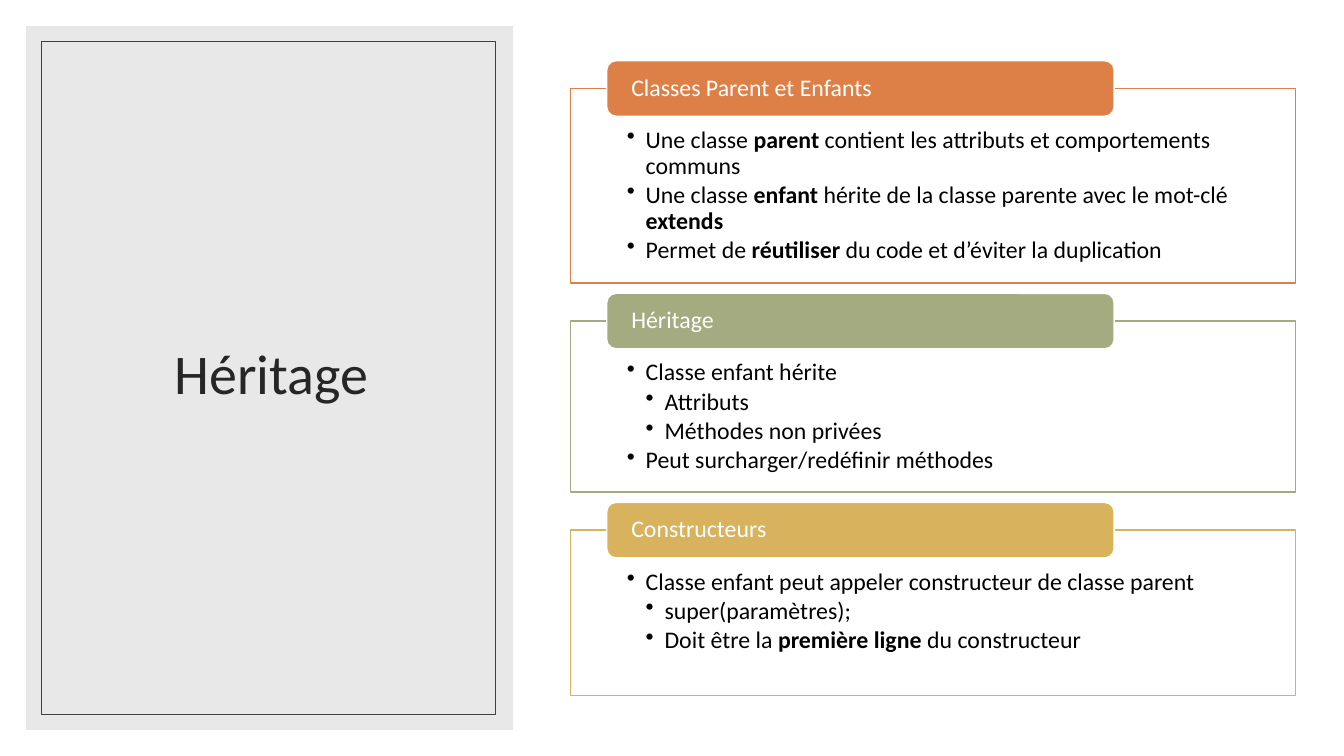
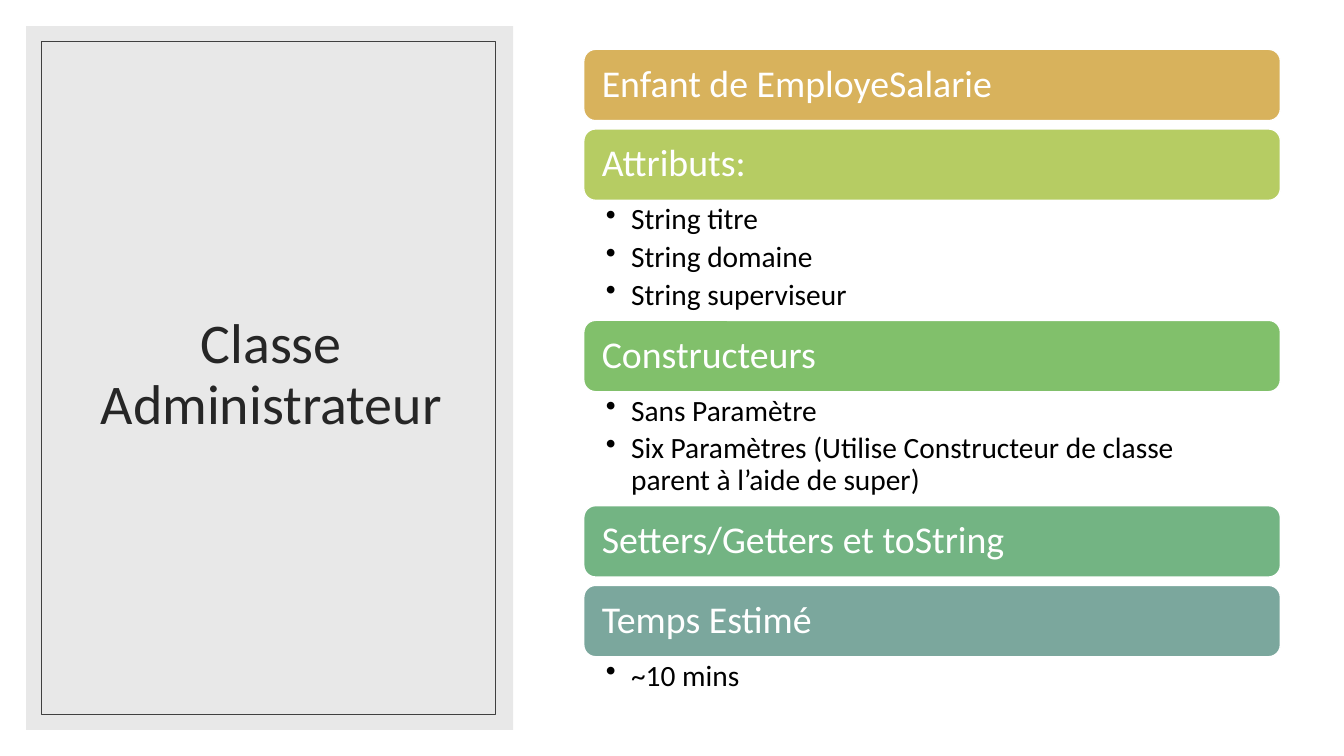
"""Build two French lesson slides about inheritance in object-oriented code."""

from dataclasses import dataclass
from typing import Optional

from lxml.etree import SubElement
from pptx import Presentation
from pptx.dml.color import RGBColor
from pptx.enum.shapes import MSO_SHAPE as Preset
from pptx.enum.text import MSO_ANCHOR as Anchor
from pptx.enum.text import MSO_AUTO_SIZE as AutoSize
from pptx.enum.text import PP_ALIGN as Align
from pptx.oxml.ns import qn
from pptx.util import Pt

COLOURS = {
    "white": "FFFFFF",
    "black": "000000",
    "panel": "D9D9D9",
    "frame": "404040",
    "title": "262626",
    "orange": "DD8047",
    "sage": "A5AB81",
    "gold": "D8B25C",
    "lime": "B6CC63",
    "green": "81C06B",
    "mint": "73B483",
    "teal": "7BA79D",
}
FONT = "Calibri"
LINE_SPACING = 0.9
TITLE_ONLY = 5


@dataclass(frozen=True)
class Area:
    left: float
    top: float
    width: float
    height: float


@dataclass(frozen=True)
class Insets:
    left: float
    top: float
    right: float
    bottom: float


@dataclass(frozen=True)
class Bullet:
    text: str
    level: int = 1


@dataclass(frozen=True)
class ListStyle:
    size: float
    indent: float
    space_after: float
    insets: Insets


@dataclass(frozen=True)
class Section:
    heading: str
    colour: str
    list_height: float = 0
    bullets: tuple[Bullet, ...] = ()


PANEL = Area(18.7, 18.7, 347.8, 502.6)
FRAME = Area(29.4, 29.4, 324.7, 481)
TITLE = Area(45.4, 43.9, 296.6, 449.3)

CARD_LEFT, CARD_TOP, CARD_WIDTH, CARD_GAP = 407.5, 63.2, 517.7, 27.2
TAB_INDENT, TAB_RISE, TAB_WIDTH, TAB_HEIGHT = 25.9, 19.8, 362.4, 39.6
CARD_LIST = ListStyle(17, 13.5, 2.55, Insets(40.2, 28.1, 40.2, 9.4))
TAB_INSETS = Insets(15.6, 0, 15.6, 0)

BAR_LEFT, BAR_TOP, BAR_WIDTH, BAR_HEIGHT, BAR_GAP = 417, 35.2, 497.6, 51, 5.9
BAR_LIST = ListStyle(21, 18, 4.2, Insets(15.8, 2.9, 15.1, 2.9))
BAR_INSETS = Insets(10.4, 7.9, 10.4, 7.9)

CARDS = (
    Section("Classes Parent et Enfants", "orange", 138.9, (
        Bullet("Une classe *parent* contient les attributs et comportements communs"),
        Bullet("Une classe *enfant* hérite de la classe parente avec le mot-clé *extends*"),
        Bullet("Permet de *réutiliser* du code et d’éviter la duplication"),
    )),
    Section("Héritage", "sage", 122.2, (
        Bullet("Classe enfant hérite"),
        Bullet("Attributs", 2),
        Bullet("Méthodes non privées", 2),
        Bullet("Peut surcharger/redéfinir méthodes"),
    )),
    Section("Constructeurs", "gold", 118.1, (
        Bullet("Classe enfant peut appeler constructeur de classe parent"),
        Bullet("super(paramètres);", 2),
        Bullet("Doit être la *première ligne *du constructeur", 2),
    )),
)
BARS = (
    Section("Enfant de EmployeSalarie", "gold"),
    Section("Attributs:", "lime", 85.7, (
        Bullet("String titre"),
        Bullet("String domaine"),
        Bullet("String superviseur"),
    )),
    Section("Constructeurs", "green", 81.4, (
        Bullet("Sans Paramètre"),
        Bullet("Six Paramètres (Utilise Constructeur de classe parent à l’aide de super)"),
    )),
    Section("Setters/Getters et toString", "mint"),
    Section("Temps Estimé", "teal", 35.3, (Bullet("~10 mins"),)),
)


def rgb(name: str) -> RGBColor:
    return RGBColor.from_string(COLOURS[name])


def points(area: Area) -> tuple[Pt, Pt, Pt, Pt]:
    return Pt(area.left), Pt(area.top), Pt(area.width), Pt(area.height)


def add_box(page, preset: Preset, area: Area, fill: Optional[str] = None,
            line: Optional[str] = None, weight: float = 1):
    box = page.shapes.add_shape(preset, *points(area))
    box.shadow.inherit = False
    if fill:
        box.fill.solid()
        box.fill.fore_color.rgb = rgb(fill)
    else:
        box.fill.background()
    if line:
        box.line.color.rgb = rgb(line)
        box.line.width = Pt(weight)
    else:
        box.line.fill.background()
    return box


def set_frame(box, insets: Insets, anchor: Anchor):
    frame = box.text_frame
    frame.word_wrap = True
    frame.auto_size = AutoSize.NONE
    frame.vertical_anchor = anchor
    frame.margin_left, frame.margin_top = Pt(insets.left), Pt(insets.top)
    frame.margin_right, frame.margin_bottom = Pt(insets.right), Pt(insets.bottom)
    return frame


def add_text(para, text: str, size: float, colour: str, align: Align = Align.LEFT) -> None:
    para.alignment = align
    para.line_spacing = LINE_SPACING
    for index, part in enumerate(text.split("*")):
        if part:
            span = para.add_run()
            span.text = part
            span.font.name = FONT
            span.font.size = Pt(size)
            span.font.bold = index % 2 == 1
            span.font.color.rgb = rgb(colour)


def fill_list(box, bullets: tuple[Bullet, ...], style: ListStyle) -> None:
    frame = set_frame(box, style.insets, Anchor.TOP)
    for index, bullet in enumerate(bullets):
        para = frame.add_paragraph() if index else frame.paragraphs[0]
        add_text(para, bullet.text, style.size, "black")
        para.level = bullet.level
        para.space_after = Pt(style.space_after)
        properties = para._p.get_or_add_pPr()
        properties.set("marL", str(Pt(style.indent * bullet.level)))
        properties.set("indent", str(-Pt(style.indent)))
        SubElement(properties, qn("a:buChar")).set("char", "•")


def add_heading(page, area: Area, section: Section, size: float, insets: Insets) -> None:
    box = add_box(page, Preset.ROUNDED_RECTANGLE, area, section.colour, "white")
    frame = set_frame(box, insets, Anchor.MIDDLE)
    add_text(frame.paragraphs[0], section.heading, size, "white")


def add_page(deck, title: str):
    page = deck.slides.add_slide(deck.slide_layouts[TITLE_ONLY])
    panel = add_box(page, Preset.RECTANGLE, PANEL, "panel")
    colour = next(panel.element.iter(qn("a:srgbClr")))
    SubElement(colour, qn("a:alpha")).set("val", "60000")
    holder = page.shapes.title
    panel.element.addnext(holder.element)
    holder.left, holder.top, holder.width, holder.height = points(TITLE)
    frame = set_frame(holder, Insets(7.2, 3.6, 7.2, 3.6), Anchor.MIDDLE)
    add_text(frame.paragraphs[0], title, 40, "title", Align.CENTER)
    add_box(page, Preset.RECTANGLE, FRAME, line="frame", weight=0.5)
    return page


def add_cards(page, sections: tuple[Section, ...]) -> None:
    top = CARD_TOP
    for section in sections:
        area = Area(CARD_LEFT, top, CARD_WIDTH, section.list_height)
        card = add_box(page, Preset.RECTANGLE, area, "white", section.colour)
        fill_list(card, section.bullets, CARD_LIST)
        tab = Area(CARD_LEFT + TAB_INDENT, top - TAB_RISE, TAB_WIDTH, TAB_HEIGHT)
        add_heading(page, tab, section, 17, TAB_INSETS)
        top += section.list_height + CARD_GAP


def add_bars(page, sections: tuple[Section, ...]) -> None:
    top = BAR_TOP
    for section in sections:
        bar = Area(BAR_LEFT, top, BAR_WIDTH, BAR_HEIGHT)
        add_heading(page, bar, section, 27, BAR_INSETS)
        top += BAR_HEIGHT
        if section.bullets:
            area = Area(BAR_LEFT, top, BAR_WIDTH, section.list_height)
            fill_list(page.shapes.add_textbox(*points(area)), section.bullets, BAR_LIST)
        top += section.list_height or BAR_GAP


def main() -> None:
    deck = Presentation()
    deck.slide_width, deck.slide_height = Pt(960), Pt(540)
    add_cards(add_page(deck, "Héritage"), CARDS)
    add_bars(add_page(deck, "Classe Administrateur"), BARS)
    deck.save("out.pptx")


if __name__ == "__main__":
    main()
